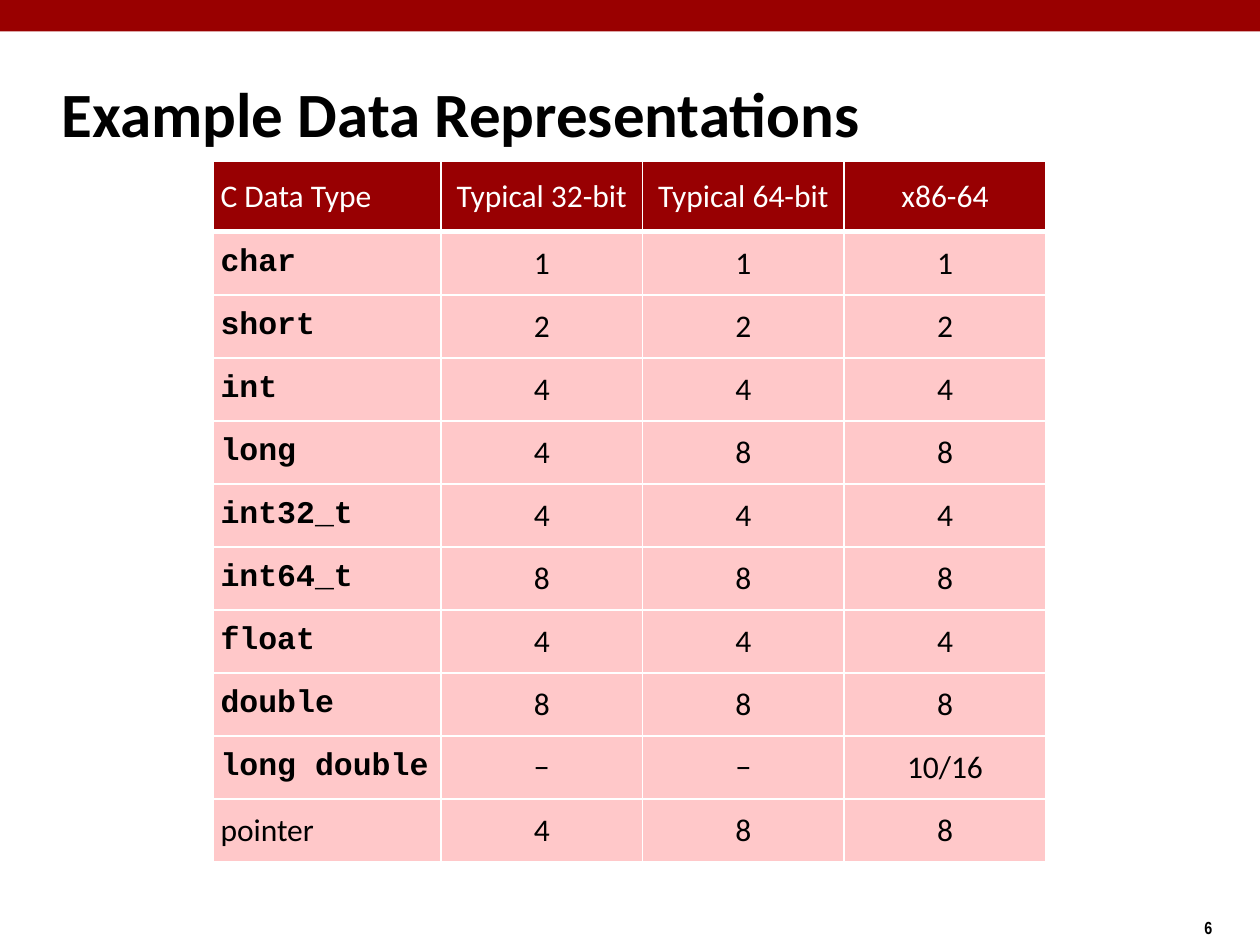
from lxml.etree import SubElement
from pptx import Presentation
from pptx.dml.color import RGBColor
from pptx.enum.shapes import MSO_SHAPE as Shape
from pptx.enum.text import MSO_ANCHOR as Anchor, MSO_AUTO_SIZE as AutoSize, PP_ALIGN as Align
from pptx.oxml.ns import qn
from pptx.util import Inches, Pt

BANNER_RED = "990000"
HEADER_RED = "980002"
BODY_PINK = "FFC8C9"
WHITE = "FFFFFF"
BLACK = "000000"

COLUMN_WIDTHS = [1.81, 1.6, 1.6, 1.6]
HEADER_HEIGHT, ROW_HEIGHT = 0.56, 0.5
THIN_RULE, HEADER_RULE = 0.96, 3

ROWS = [
    ["C Data Type", "Typical 32-bit", "Typical 64-bit", "x86-64"],
    ["char", "1", "1", "1"],
    ["short", "2", "2", "2"],
    ["int", "4", "4", "4"],
    ["long", "4", "8", "8"],
    ["int32_t", "4", "4", "4"],
    ["int64_t", "8", "8", "8"],
    ["float", "4", "4", "4"],
    ["double", "8", "8", "8"],
    ["long double", "−", "−", "10/16"],
    ["pointer", "4", "8", "8"],
]


def set_color(color_format, value):
    color_format.rgb = RGBColor.from_string(value)


def set_fill(target, value):
    target.fill.solid()
    set_color(target.fill.fore_color, value)


def write(frame, text, font, size, color=BLACK, bold=False, align=Align.LEFT):
    frame.text = text
    para = frame.paragraphs[0]
    para.alignment = align
    span = para.runs[0]
    span.font.name = font
    span.font.size = Pt(size)
    span.font.bold = bold
    set_color(span.font.color, color)


def add_banner(page):
    banner = page.shapes.add_shape(Shape.RECTANGLE, 0, 0, Inches(10), Inches(0.25))
    banner.shadow.inherit = False
    set_fill(banner, BANNER_RED)
    banner.line.fill.background()


def add_page_number(page, number):
    box = page.shapes.add_textbox(Inches(9.46), Inches(7.23), Inches(0.75), Inches(0.27))
    frame = box.text_frame
    frame.word_wrap = False
    frame.auto_size = AutoSize.SHAPE_TO_FIT_TEXT
    write(frame, number, "Arial Narrow", 10, bold=True)


def set_title(page, text):
    title = page.shapes.title
    title.left, title.top = Inches(0.39), Inches(0.48)
    title.width, title.height = Inches(8.3), Inches(0.83)
    frame = title.text_frame
    frame.vertical_anchor = Anchor.MIDDLE
    frame.auto_size = AutoSize.NONE
    write(frame, text, "Calibri", 36, bold=True)


def set_borders(cell, widths):
    properties = cell._tc.get_or_add_tcPr()
    for side, width in widths.items():
        line = SubElement(properties, qn(f"a:ln{side}"), w=str(Pt(width)))
        fill = SubElement(line, qn("a:solidFill"))
        SubElement(fill, qn("a:srgbClr"), val=WHITE)


def format_cell(cell, text, row, column):
    is_header = row == 0
    is_code = column == 0 and not is_header and text != "pointer"
    cell.vertical_anchor = Anchor.MIDDLE
    cell.margin_left = cell.margin_right = Inches(0.06)
    cell.margin_top = cell.margin_bottom = Inches(0.05)
    write(
        cell.text_frame,
        text,
        "Courier New" if is_code else "Calibri",
        18,
        color=WHITE if is_header else BLACK,
        bold=is_code,
        align=Align.CENTER if column else Align.LEFT,
    )
    set_borders(cell, {
        "L": THIN_RULE,
        "R": THIN_RULE,
        "T": HEADER_RULE if row == 1 else THIN_RULE,
        "B": HEADER_RULE if is_header else THIN_RULE,
    })
    set_fill(cell, HEADER_RED if is_header else BODY_PINK)


def add_size_table(page):
    heights = [HEADER_HEIGHT] + [ROW_HEIGHT] * (len(ROWS) - 1)
    table = page.shapes.add_table(
        len(ROWS), len(COLUMN_WIDTHS), Inches(1.69), Inches(1.28),
        Inches(sum(COLUMN_WIDTHS)), Inches(sum(heights)),
    ).table
    table.horz_banding = False
    for column, width in zip(table.columns, COLUMN_WIDTHS):
        column.width = Inches(width)
    for row, height in zip(table.rows, heights):
        row.height = Inches(height)
    for row, values in enumerate(ROWS):
        for column, text in enumerate(values):
            format_cell(table.cell(row, column), text, row, column)


def main():
    deck = Presentation()
    deck.slide_width, deck.slide_height = Inches(10), Inches(7.5)
    page = deck.slides.add_slide(deck.slide_layouts[5])
    add_banner(page)
    add_page_number(page, "6")
    set_title(page, "Example Data Representations")
    add_size_table(page)
    deck.save("out.pptx")


if __name__ == "__main__":
    main()
